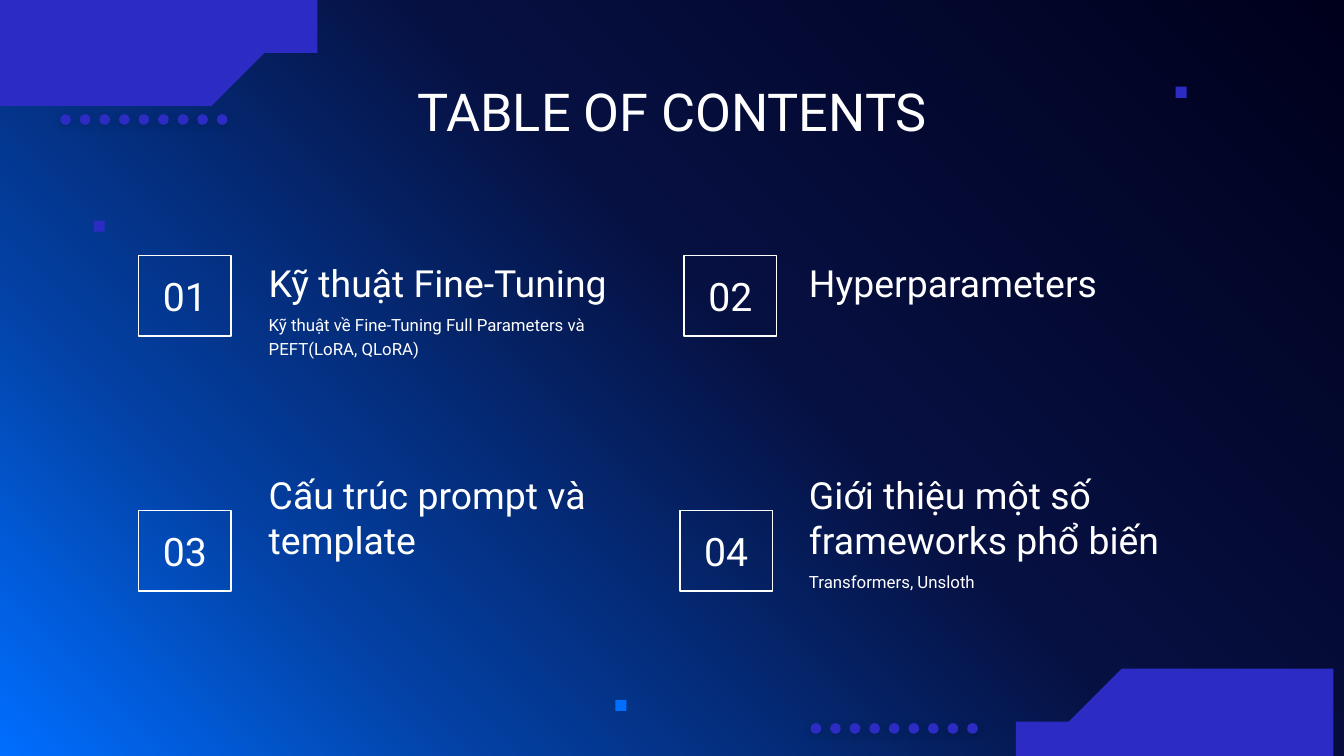
from pptx import Presentation
from pptx.dml.color import RGBColor
from pptx.enum.shapes import MSO_SHAPE as Shape
from pptx.enum.text import MSO_ANCHOR as Anchor, MSO_AUTO_SIZE as AutoSize, PP_ALIGN as Align
from pptx.oxml import parse_xml
from pptx.oxml.ns import nsdecls, qn
from pptx.util import Cm, Pt

FONT = "Roboto"
WHITE = RGBColor(0xFF, 0xFF, 0xFF)
INDIGO = RGBColor(0x2C, 0x2C, 0xC5)
BLUE = RGBColor(0x00, 0x6E, 0xFF)
BACKGROUND_STOPS = [(0, BLUE), (24, RGBColor(0x03, 0x3F, 0xA0)),
                    (56, RGBColor(0x06, 0x10, 0x41)), (100, RGBColor(0x00, 0x00, 0x1C))]

# All lengths are in centimetres.
WIDTH, HEIGHT = 25.4, 14.29
TITLE = "TABLE OF CONTENTS"
# number, row, column, number box left, heading, note
TOPICS = [
    ("01", 0, 0, 2.62, "Kỹ thuật Fine-Tuning",
     "Kỹ thuật về Fine-Tuning Full Parameters và PEFT(LoRA, QLoRA)"),
    ("02", 0, 1, 12.93, "Hyperparameters", None),
    ("03", 1, 0, 2.62, "Cấu trúc prompt và template", None),
    ("04", 1, 1, 12.85, "Giới thiệu một số frameworks phổ biến", "Transformers, Unsloth"),
]
ROWS = [(4.83, 4.29, 1.73), (9.65, 9.22, 1.65)]  # box top, heading top, heading height
COLUMNS = [4.83, 15.04]
TEXT_WIDTH, NOTE_HEIGHT, NOTE_OVERLAP = 7.72, 1.73, 0.37
BOX_WIDTH, BOX_HEIGHT = 1.75, 1.52

DOT_ROWS = [(1.14, 2.16), (15.32, 13.67)]  # left, top
DOT_COUNT, DOT_STEP, DOT_SIZE = 9, 0.37, 0.2
SQUARES = [(22.22, 1.64, INDIGO), (11.63, 13.23, BLUE), (1.77, 4.17, INDIGO)]
SQUARE_SIZE = 0.21

# A pair is a corner; three pairs are the control points and end of a curve.
CORNER_WIDTH, CORNER_HEIGHT = 6.25, 1.65
CORNER_OUTLINE = [
    (0, 0), (0, 1.65), (3.76, 1.65),
    ((3.89, 1.65), (3.99, 1.6), (4.06, 1.52)), (4.75, 0.84),
    ((4.83, 0.76), (4.93, 0.71), (5.05, 0.71)), (5.79, 0.71),
    ((6.02, 0.71), (6.2, 0.53), (6.22, 0.33)), (6.25, 0),
]
CURVE_STEPS = 10


def set_background(slide):
    """Fill the slide with a circular gradient centred on the bottom left."""
    slide.background.fill.gradient()
    gradient = slide.element.find(".//" + qn("a:gradFill"))
    stops = "".join(f'<a:gs pos="{position * 1000}"><a:srgbClr val="{color}"/></a:gs>'
                    for position, color in BACKGROUND_STOPS)
    gradient.getparent().replace(gradient, parse_xml(
        f'<a:gradFill {nsdecls("a")} rotWithShape="1"><a:gsLst>{stops}</a:gsLst>'
        '<a:path path="circle"><a:fillToRect t="100000" r="100000"/></a:path>'
        '<a:tileRect/></a:gradFill>'))


def style_plain(shape, color):
    shape.fill.solid()
    shape.fill.fore_color.rgb = color
    shape.line.fill.background()
    shape.shadow.inherit = False


def add_plain(slide, kind, left, top, size, color):
    shape = slide.shapes.add_shape(kind, Cm(left), Cm(top), Cm(size), Cm(size))
    style_plain(shape, color)
    return shape


def outline_points():
    """Return the corner outline with its curves cut into short straight steps."""
    points = []
    for item in CORNER_OUTLINE:
        if len(item) == 2:
            points.append(item)
            continue
        curve = (points[-1], *item)
        for step in range(1, CURVE_STEPS + 1):
            t = step / CURVE_STEPS
            weights = ((1 - t) ** 3, 3 * t * (1 - t) ** 2, 3 * t * t * (1 - t), t ** 3)
            points.append(tuple(sum(w * point[axis] for w, point in zip(weights, curve))
                                for axis in (0, 1)))
    return points


def add_corner(slide, left, top, rotation):
    start, *others = outline_points()
    builder = slide.shapes.build_freeform(*start, scale=Cm(1))
    builder.add_line_segments(others, close=True)
    corner = builder.convert_to_shape(Cm(left), Cm(top))
    corner.rotation = rotation
    style_plain(corner, INDIGO)


def add_dot(slide, left, top):
    dot = add_plain(slide, Shape.OVAL, left, top, DOT_SIZE, INDIGO)
    dot.element.spPr.find(qn("a:effectLst")).append(parse_xml(
        f'<a:outerShdw {nsdecls("a")} blurRad="57150" dist="19050" dir="5400000" '
        'algn="bl" rotWithShape="0"><a:srgbClr val="000000"><a:alpha val="16000"/>'
        '</a:srgbClr></a:outerShdw>'))


def write(shape, text, size, align=Align.LEFT, anchor=Anchor.TOP):
    frame = shape.text_frame
    frame.word_wrap = True
    frame.auto_size = AutoSize.NONE
    frame.vertical_anchor = anchor
    frame.margin_left = frame.margin_right = frame.margin_top = frame.margin_bottom = Cm(0.25)
    frame.text = text
    paragraph = frame.paragraphs[0]
    paragraph.alignment = align
    paragraph.font.size = Pt(size)
    paragraph.font.name = FONT
    paragraph.font.color.rgb = WHITE
    return paragraph


def add_text(slide, left, top, height, text, size, anchor=Anchor.TOP):
    box = slide.shapes.add_textbox(Cm(left), Cm(top), Cm(TEXT_WIDTH), Cm(height))
    return write(box, text, size, anchor=anchor)


def add_topic(slide, number, row, column, box_left, heading, note):
    box_top, top, height = ROWS[row]
    left = COLUMNS[column]
    box = slide.shapes.add_shape(Shape.RECTANGLE, Cm(box_left), Cm(box_top),
                                 Cm(BOX_WIDTH), Cm(BOX_HEIGHT))
    box.fill.background()
    box.line.color.rgb = WHITE
    box.line.width = Pt(0.75)
    box.shadow.inherit = False
    write(box, number, 21, Align.CENTER, Anchor.MIDDLE)
    add_text(slide, left, top, height, heading, 20, Anchor.BOTTOM)
    if note:
        paragraph = add_text(slide, left, top + height - NOTE_OVERLAP, NOTE_HEIGHT, note, 9)
        paragraph.line_spacing = 1.15
        paragraph.space_before = paragraph.space_after = Pt(12)


def main():
    presentation = Presentation()
    presentation.slide_width, presentation.slide_height = Cm(WIDTH), Cm(HEIGHT)
    slide = presentation.slides.add_slide(presentation.slide_layouts[5])
    set_background(slide)

    add_corner(slide, 0, 0, 0)
    add_corner(slide, WIDTH - CORNER_WIDTH + 0.05, HEIGHT - CORNER_HEIGHT, 180)
    for left, top in DOT_ROWS:
        for index in range(DOT_COUNT):
            add_dot(slide, left + index * DOT_STEP, top)
    for left, top, color in SQUARES:
        add_plain(slide, Shape.RECTANGLE, left, top, SQUARE_SIZE, color)

    title = slide.shapes.title
    title.left, title.top, title.width, title.height = Cm(2), Cm(1.25), Cm(21.4), Cm(1.6)
    write(title, TITLE, 28, Align.CENTER)
    for topic in TOPICS:
        add_topic(slide, *topic)
    presentation.save("out.pptx")


if __name__ == "__main__":
    main()
